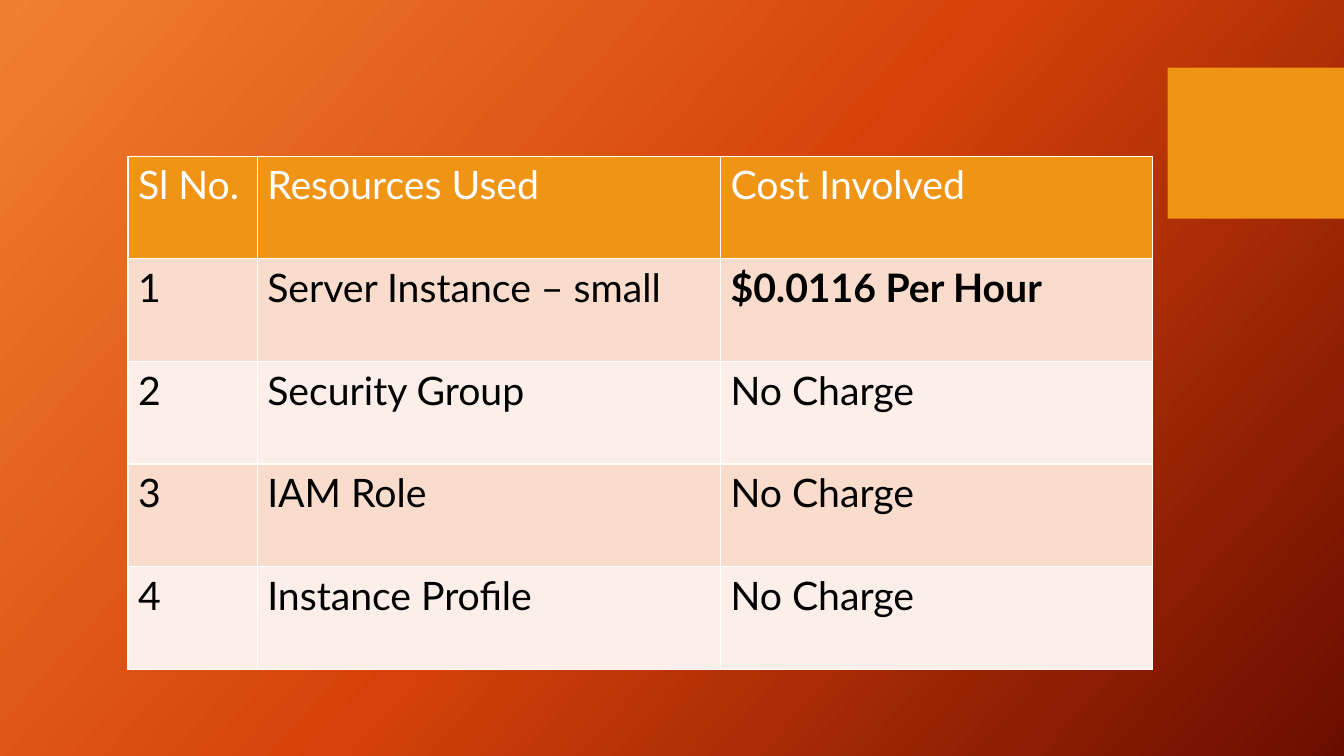
from copy import deepcopy
from lxml.etree import SubElement
from pptx import Presentation
from pptx.dml.color import RGBColor
from pptx.enum.shapes import MSO_SHAPE
from pptx.oxml.ns import qn
from pptx.util import Inches, Pt

WHITE = RGBColor(0xFF, 0xFF, 0xFF)
BLACK = RGBColor(0x00, 0x00, 0x00)
AMBER = RGBColor(0xF0, 0x94, 0x15)
PEACH = RGBColor(0xF9, 0xDC, 0xCC)
PALE_PEACH = RGBColor(0xFC, 0xEE, 0xE8)
GRADIENT = [
    (0, RGBColor(0xF1, 0x80, 0x31)),
    (0.5, RGBColor(0xD5, 0x42, 0x09)),
    (1, RGBColor(0x6A, 0x0D, 0x00)),
]
GRADIENT_ANGLE = 42

WIDTH, HEIGHT = Inches(13.33), Inches(7.5)
TAB_BOX = (Inches(11.58), Inches(0.67), Inches(1.75), Inches(1.5))
TABLE_BOX = (Inches(1.27), Inches(1.55), Inches(10.16), Inches(5.09))
COLUMN_SHARES = (1.28, 4.59, 4.28)

COSTS = [
    ("Sl No.", "Resources Used", "Cost Involved"),
    ("1", "Server Instance – small ", "$0.0116 Per Hour"),
    ("2", "Security Group", "No Charge"),
    ("3", "IAM Role", "No Charge"),
    ("4", "Instance Profile", "No Charge"),
]


def write_text(text_frame, text, size=28, color=BLACK, bold=False, font="Lato"):
    run = text_frame.paragraphs[0].add_run()
    run.text = text
    run.font.size = Pt(size)
    run.font.color.rgb = color
    run.font.bold = bold
    run.font.name = font


def paint_background(slide):
    fill = slide.background.fill
    fill.gradient()
    fill.gradient_angle = 360 - GRADIENT_ANGLE
    stop_list = slide.element.find(".//" + qn("a:gsLst"))
    stop_list.insert(1, deepcopy(stop_list[0]))
    for stop, (position, color) in zip(fill.gradient_stops, GRADIENT):
        stop.position = position
        stop.color.rgb = color


def add_corner_tab(slide, box):
    shape = slide.shapes.add_shape(MSO_SHAPE.RECTANGLE, *box)
    shape.shadow.inherit = False
    shape.fill.solid()
    shape.fill.fore_color.rgb = AMBER
    shape.line.fill.background()


def border_cell(cell, color=WHITE, width=1):
    properties = cell._tc.get_or_add_tcPr()
    for index, side in enumerate(("lnL", "lnR", "lnT", "lnB")):
        line = SubElement(properties, qn("a:" + side), w=str(Pt(width)))
        fill = SubElement(line, qn("a:solidFill"))
        SubElement(fill, qn("a:srgbClr"), val=str(color))
        properties.insert(index, line)


def add_cost_table(slide, box):
    left, top, width, height = box
    row_count = len(COSTS)
    table = slide.shapes.add_table(row_count, len(COLUMN_SHARES), *box).table
    for column, share in zip(table.columns, COLUMN_SHARES):
        column.width = int(width * share / sum(COLUMN_SHARES))
    for row_index, values in enumerate(COSTS):
        table.rows[row_index].height = height // row_count
        header = row_index == 0
        band = AMBER if header else PEACH if row_index % 2 else PALE_PEACH
        for column_index, value in enumerate(values):
            cell = table.cell(row_index, column_index)
            cell.fill.solid()
            cell.fill.fore_color.rgb = band
            border_cell(cell)
            write_text(cell.text_frame, value, color=WHITE if header else BLACK,
                       bold=value.startswith("$"))


presentation = Presentation()
presentation.slide_width, presentation.slide_height = WIDTH, HEIGHT
slide = presentation.slides.add_slide(presentation.slide_layouts[6])
paint_background(slide)
add_corner_tab(slide, TAB_BOX)
add_cost_table(slide, TABLE_BOX)
presentation.save("out.pptx")
